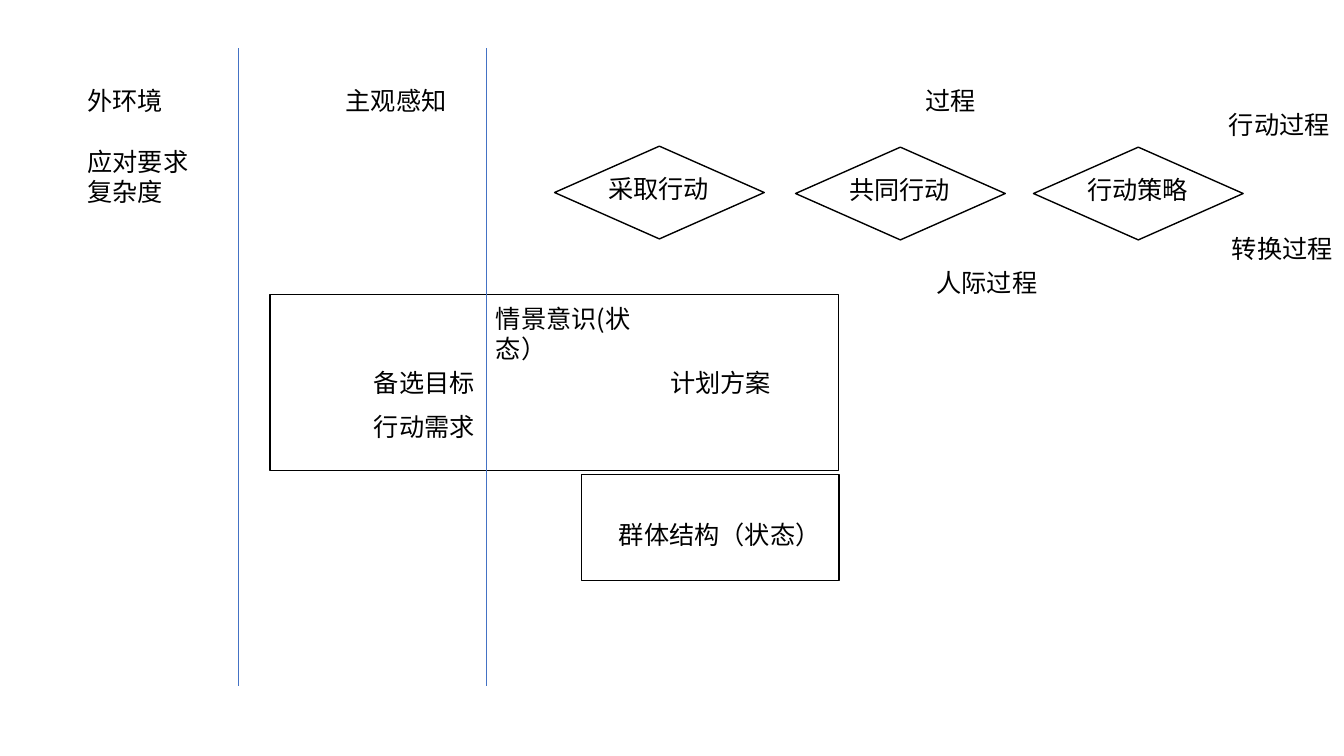
from lxml import etree
from pptx import Presentation
from pptx.dml.color import RGBColor
from pptx.enum.shapes import MSO_CONNECTOR, MSO_SHAPE
from pptx.enum.text import MSO_ANCHOR, MSO_AUTO_SIZE
from pptx.oxml.ns import qn
from pptx.util import Inches, Pt

BLACK = RGBColor(0x00, 0x00, 0x00)
BLUE = RGBColor(0x44, 0x72, 0xC4)
FONT = "Noto Sans CJK SC"
LINE_PITCH = Pt(21.6)
RECTANGLE = MSO_SHAPE.RECTANGLE
DECISION = MSO_SHAPE.FLOWCHART_DECISION
STRAIGHT = MSO_CONNECTOR.STRAIGHT
TOP = MSO_ANCHOR.TOP
FIT_TEXT = MSO_AUTO_SIZE.SHAPE_TO_FIT_TEXT

LABEL_WIDTH, LABEL_HEIGHT = 1.21, 0.4
DIAMOND_WIDTH, DIAMOND_HEIGHT = 2.08, 0.92

# Text, left, top, width
LABELS = [
    ("主观感知", 3.33, 0.8, LABEL_WIDTH),
    ("过程", 9.08, 0.8, 0.71),
    ("备选目标", 3.61, 3.59, LABEL_WIDTH),
    ("行动需求", 3.61, 4.03, LABEL_WIDTH),
    ("计划方案", 6.55, 3.59, LABEL_WIDTH),
    ("群体结构（状态）", 6.04, 5.1, 2.22),
    ("人际过程", 9.19, 2.6, 1.24),
    ("行动过程", 12.09, 1.04, LABEL_WIDTH),
    ("转换过程", 12.12, 2.27, LABEL_WIDTH),
]
# Text, left, top
DECISIONS = [
    ("采取行动", 5.5, 1.45),
    ("共同行动", 7.89, 1.46),
    ("行动策略", 10.25, 1.46),
]
FRAMES = [(2.68, 2.92, 5.64, 1.75), (5.77, 4.71, 2.55, 1.05)]
DIVIDERS = [2.36, 4.82]


def add_label(slide, text, left, top, width=LABEL_WIDTH, height=LABEL_HEIGHT, wrap=False):
    box = slide.shapes.add_textbox(Inches(left), Inches(top), Inches(width), Inches(height))
    text_frame = box.text_frame
    text_frame.text = text
    text_frame.word_wrap = wrap
    text_frame.auto_size = FIT_TEXT
    text_frame.vertical_anchor = TOP
    for paragraph in text_frame.paragraphs:
        paragraph.line_spacing = LINE_PITCH
        for run in paragraph.runs:
            run.font.size = Pt(18)
            run.font.name = FONT
            run.font.color.rgb = BLACK
            east_asian = etree.SubElement(run.font._element, qn("a:ea"))
            east_asian.set("typeface", FONT)
    return text_frame


def add_outline(slide, kind, left, top, width, height):
    shape = slide.shapes.add_shape(kind, Inches(left), Inches(top), Inches(width), Inches(height))
    shape.shadow.inherit = False
    shape.fill.background()
    shape.line.color.rgb = BLACK
    shape.line.width = Pt(1)


def add_decision(slide, text, left, top):
    add_outline(slide, DECISION, left, top, DIAMOND_WIDTH, DIAMOND_HEIGHT)
    add_label(slide, text, left + (DIAMOND_WIDTH - LABEL_WIDTH) / 2, top + 0.22)


def add_divider(slide, x):
    line = slide.shapes.add_connector(STRAIGHT, Inches(x), Inches(0.48), Inches(x), Inches(6.81))
    line.line.color.rgb = BLUE
    line.line.width = Pt(0.5)
    etree.SubElement(line._element.spPr, qn("a:effectLst"))


def main():
    presentation = Presentation()
    presentation.slide_width = Inches(13.33)
    presentation.slide_height = Inches(7.5)
    slide = presentation.slides.add_slide(presentation.slide_layouts[6])

    # External environment column, with a one-line gap under its heading
    environment = add_label(slide, "外环境\n应对要求\n复杂度", 0.77, 0.8, height=1.31)
    environment.paragraphs[1].space_before = LINE_PITCH

    # State frames and decisions
    for frame in FRAMES:
        add_outline(slide, RECTANGLE, *frame)
    for decision in DECISIONS:
        add_decision(slide, *decision)

    # Headings and notes
    for label in LABELS:
        add_label(slide, *label)
    add_label(slide, "情景意识(状态）", 4.82, 2.96, 1.84, 0.7, wrap=True)

    # Column dividers
    for x in DIVIDERS:
        add_divider(slide, x)

    presentation.save("out.pptx")


if __name__ == "__main__":
    main()
